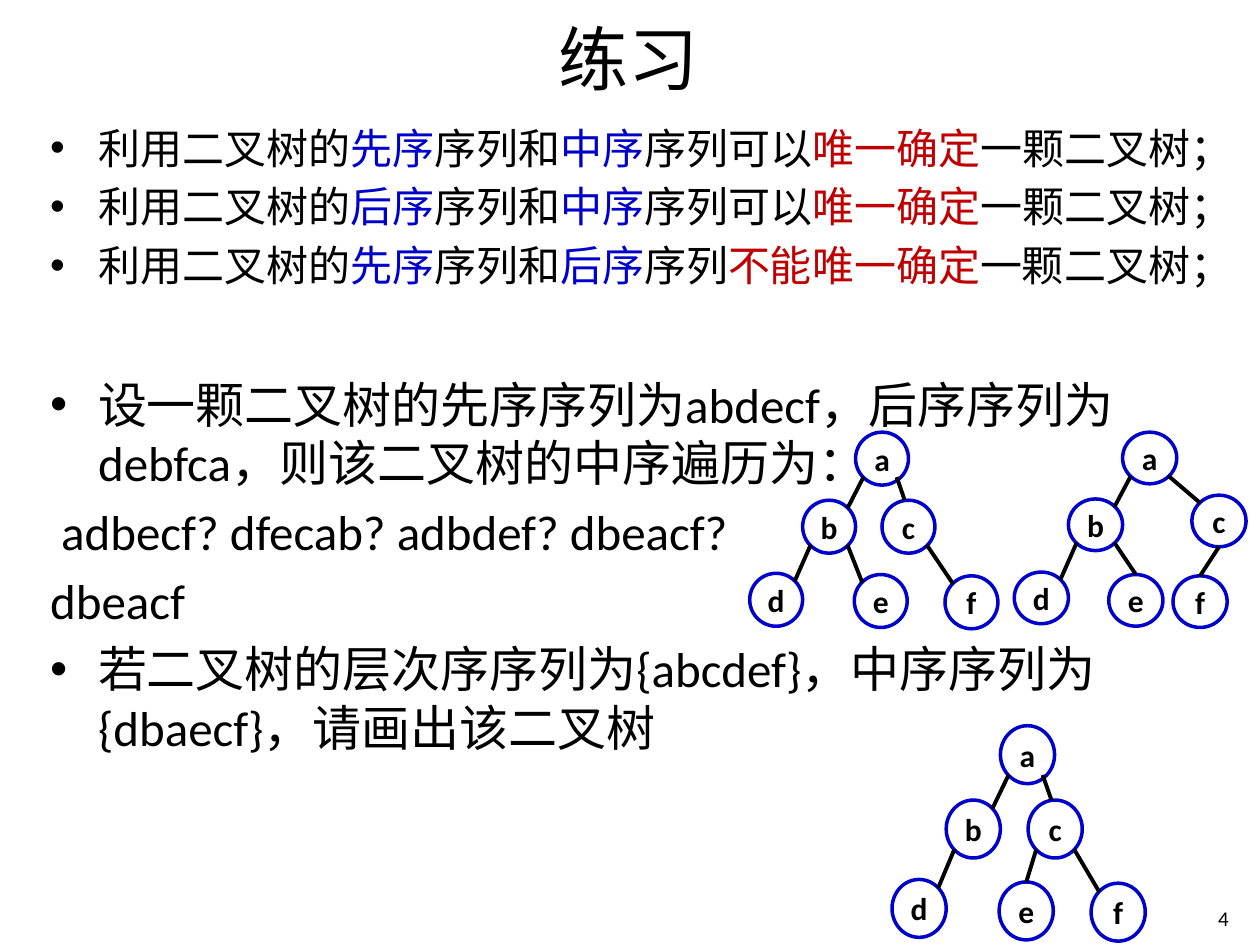
from lxml import etree
from pptx import Presentation
from pptx import util as u
from pptx.dml.color import RGBColor
from pptx.enum import shapes, text
from pptx.oxml.ns import qn

PX = 9144  # 100 px to the inch
FONT = "Calibri"
BLACK, WHITE, BLUE, RED = "000000", "FFFFFF", "0000CC", "C00000"

# ---- Content ----
TITLE = "练习"
PAGE_NUMBER = "4"
# First order, second order, text after them, verdict
RULES = [
    ("先序", "中序", "序列可以", "唯一确定"),
    ("后序", "中序", "序列可以", "唯一确定"),
    ("先序", "后序", "序列", "不能唯一确定"),
]
# Text, bulleted, space before in points
EXERCISES = [
    ("设一颗二叉树的先序序列为abdecf，后序序列为debfca，则该二叉树的中序遍历为：", True, 48),
    (" adbecf? dfecab? adbdef? dbeacf?", False, 5.6),
    ("dbeacf", False, 5.6),
    ("若二叉树的层次序序列为{abcdef}，中序序列为{dbaecf}，请画出该二叉树", True, 5.6),
]
# Node size, left and top of each node,
# edges as (parent, site, child, site, horizontal shift)
TREES = [
    {"size": (42, 42),
     "nodes": {"a": (679, 343), "b": (637, 397), "d": (595, 455),
               "c": (700, 397), "e": (678, 456), "f": (750, 457)},
     "edges": [("a", "SW", "b", "NE", 0), ("b", "SW", "d", "NE", 0),
               ("b", "SE", "e", "NW", 0), ("a", "SE", "c", "N", -3),
               ("c", "SE", "f", "NW", 0)]},
    {"size": (43, 46),
     "nodes": {"a": (794, 576), "b": (751, 635), "d": (708, 698),
               "c": (816, 635), "e": (793, 700), "f": (866, 701)},
     "edges": [("a", "SW", "b", "NE", 0), ("b", "SW", "d", "NE", 0),
               ("c", "SW", "e", "N", 0), ("a", "SE", "c", "N", -3),
               ("c", "SE", "f", "NW", 0)]},
    {"size": (43, 41),
     "nodes": {"a": (891, 343), "b": (848, 396), "d": (805, 454),
               "c": (946, 393), "e": (880, 456), "f": (931, 457)},
     "edges": [("a", "SW", "b", "NE", 0), ("b", "SW", "d", "NE", 0),
               ("b", "SE", "e", "N", 0), ("a", "SE", "c", "NW", 0),
               ("c", "S", "f", "N", 0)]},
]
# Where edges meet a circle, as fractions of its box
SITES = {"N": (0.5, 0), "S": (0.5, 1), "NW": (0.15, 0.15),
         "NE": (0.85, 0.15), "SW": (0.15, 0.85), "SE": (0.85, 0.85)}


# ---- Helpers ----
def px(*lengths):
    return [round(length * PX) for length in lengths]


def color(value):
    return RGBColor.from_string(value)


def add_run(paragraph, words, size, hue=BLACK, bold=False):
    run = paragraph.add_run()
    run.text = words
    run.font.name, run.font.size, run.font.bold = FONT, u.Pt(size), bold
    run.font.color.rgb = color(hue)


def add_bullet(paragraph):
    props = paragraph._p.get_or_add_pPr()
    props.set("marL", str(38 * PX))
    props.set("indent", str(-38 * PX))
    etree.SubElement(props, qn("a:buFont")).set("typeface", "Arial")
    etree.SubElement(props, qn("a:buChar")).set("char", "•")


def add_node(tree, letter, corner, size):
    node = tree.shapes.add_shape(shapes.MSO_SHAPE.FLOWCHART_CONNECTOR,
                                 *px(*corner, *size))
    node.shadow.inherit = False
    node.fill.solid()
    node.fill.fore_color.rgb = color(WHITE)
    node.line.color.rgb = color(BLUE)
    node.line.width = u.Pt(2)
    frame = node.text_frame
    frame.margin_left = frame.margin_right = 0
    frame.margin_top = frame.margin_bottom = 0
    frame.word_wrap = False
    frame.vertical_anchor = text.MSO_ANCHOR.MIDDLE
    label = frame.paragraphs[0]
    label.alignment = text.PP_ALIGN.CENTER
    add_run(label, letter, 18, bold=True)


def site_point(corner, size, site, shift):
    across, down = SITES[site]
    return corner[0] + across * size[0] + shift, corner[1] + down * size[1]


def add_edge(tree, start, end):
    edge = tree.shapes.add_connector(shapes.MSO_CONNECTOR.STRAIGHT,
                                     *px(*start, *end))
    edge.line.color.rgb = color(BLACK)
    edge.line.width = u.Pt(2.25)
    etree.SubElement(edge._element.spPr, qn("a:effectLst"))


# ---- Slide and title ----
prs = Presentation()
prs.slide_width, prs.slide_height = px(1000, 750)
slide = prs.slides.add_slide(prs.slide_layouts[5])
title = slide.shapes.title
title.left, title.top, title.width, title.height = px(49, 0, 900, 92)
title.text_frame.vertical_anchor = text.MSO_ANCHOR.MIDDLE
heading = title.text_frame.paragraphs[0]
heading.alignment = text.PP_ALIGN.CENTER
add_run(heading, TITLE, 40)

# ---- Rules and exercises ----
body = slide.shapes.add_textbox(*px(30, 92, 959, 658)).text_frame
body.word_wrap = True
for number, (first, second, link, verdict) in enumerate(RULES):
    rule = body.add_paragraph() if number else body.paragraphs[0]
    rule.space_before = u.Pt(4.8)
    add_bullet(rule)
    for words, hue in [("利用二叉树的", BLACK), (first, BLUE), ("序列和", BLACK),
                       (second, BLUE), (link, BLACK), (verdict, RED),
                       ("一颗二叉树；", BLACK)]:
        add_run(rule, words, 24, hue)
for words, bulleted, gap in EXERCISES:
    exercise = body.add_paragraph()
    exercise.space_before = u.Pt(gap)
    if bulleted:
        add_bullet(exercise)
    add_run(exercise, words, 28)

# ---- Trees ----
for plan in TREES:
    tree = slide.shapes.add_group_shape()
    nodes, size = plan["nodes"], plan["size"]
    for letter, corner in nodes.items():
        add_node(tree, letter, corner, size)
    for parent, leaving, child, arriving, shift in plan["edges"]:
        add_edge(tree, site_point(nodes[parent], size, leaving, shift),
                 site_point(nodes[child], size, arriving, shift))

# ---- Page number ----
page = slide.shapes.add_textbox(*px(957, 714, 43, 36)).text_frame
page.word_wrap = True
add_run(page.paragraphs[0], PAGE_NUMBER, 12)

prs.save("out.pptx")
